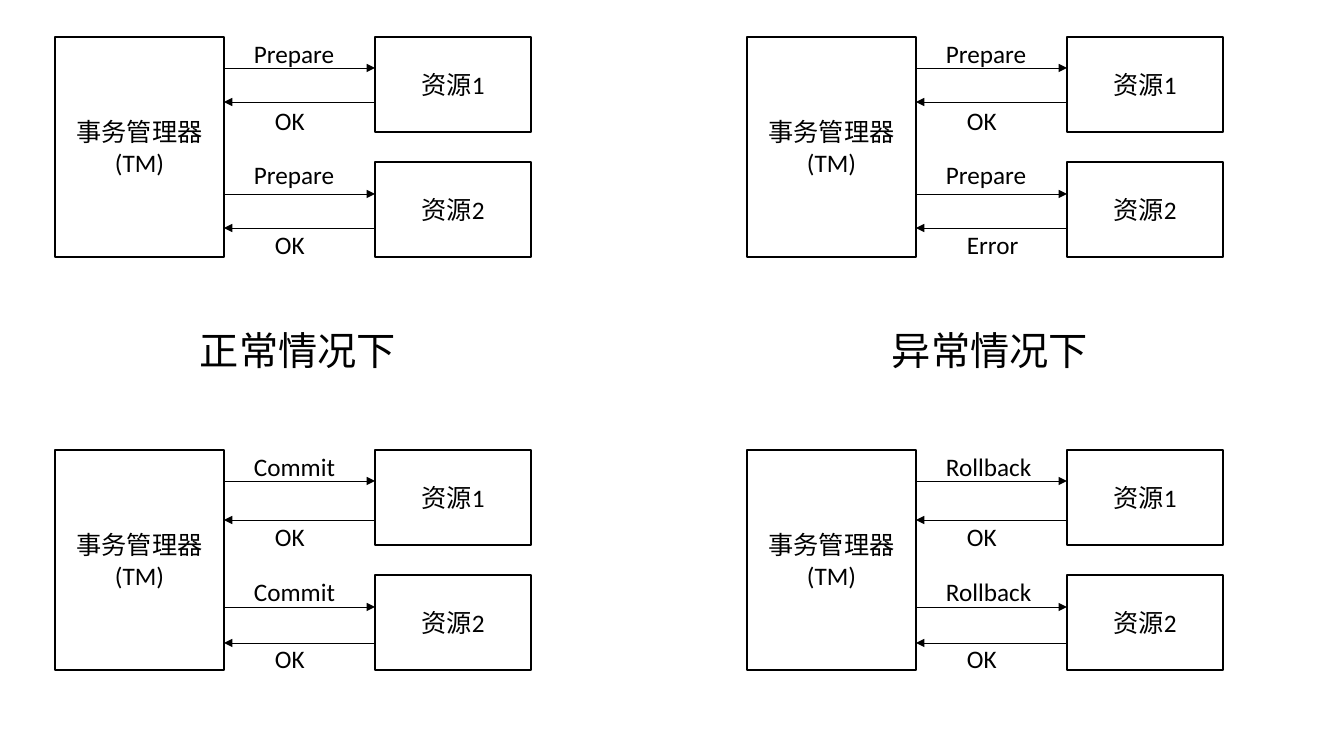
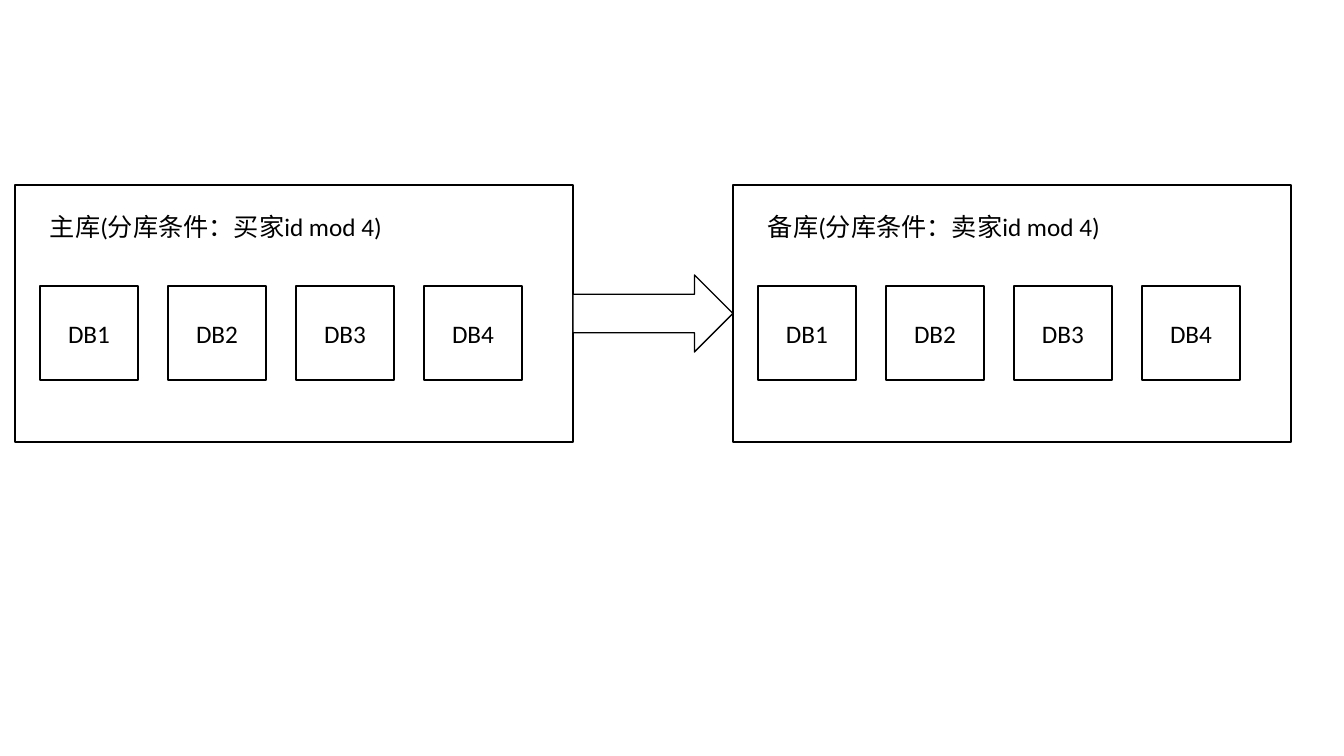
import pptx
import pptx.util
import pptx.dml.color
import pptx.enum.shapes
import pptx.enum.text
import pptx.oxml.ns
import lxml.etree

PX = 914400 / 100.8
COLORS = {"paper": "FFFFFF", "ink": "000000"}
FONT = "Calibri"
BODY, HEADING = 18, 28
SHAPES = pptx.enum.shapes.MSO_SHAPE

SCENARIO_STEP = 692
SCENARIOS = [
    ("正常情况下", [("Prepare", ["OK", "OK"]), ("Commit", ["OK", "OK"])]),
    ("异常情况下", [("Prepare", ["OK", "Error"]), ("Rollback", ["OK", "OK"])]),
]
PHASES = [
    {"top": 37, "reply": [102, 228], "call_label": [33, 154], "reply_label": [100, 224]},
    {"top": 450, "reply": [520, 643], "call_label": [446, 571], "reply_label": [516, 638]},
]
CLUSTER_STEP = 718
CLUSTERS = ["主库(分库条件：买家id mod 4)", "备库(分库条件：卖家id mod 4)"]


def emu(px):
    return pptx.util.Emu(round(px * PX))


def rgb(name):
    return pptx.dml.color.RGBColor.from_string(COLORS[name])


def write(tf, lines, size=BODY, align=pptx.enum.text.PP_ALIGN.LEFT):
    tf.word_wrap = True
    for i, line in enumerate(lines):
        p = tf.add_paragraph() if i else tf.paragraphs[0]
        p.alignment = align
        r = p.add_run()
        r.text = line
        r.font.name = FONT
        r.font.size = pptx.util.Pt(size)
        r.font.color.rgb = rgb("ink")


def add_box(s, x, y, w, h, lines=(), kind=SHAPES.RECTANGLE):
    sp = s.shapes.add_shape(kind, emu(x), emu(y), emu(w), emu(h))
    sp.shadow.inherit = False
    sp.fill.solid()
    sp.fill.fore_color.rgb = rgb("paper")
    sp.line.color.rgb = rgb("ink")
    sp.line.width = pptx.util.Pt(1)
    sp.text_frame.vertical_anchor = pptx.enum.text.MSO_ANCHOR.MIDDLE
    write(sp.text_frame, lines, align=pptx.enum.text.PP_ALIGN.CENTER)


def add_label(s, x, y, w, h, text, size=BODY):
    tf = s.shapes.add_textbox(emu(x), emu(y), emu(w), emu(h)).text_frame
    write(tf, [text], size)
    tf.auto_size = pptx.enum.text.MSO_AUTO_SIZE.SHAPE_TO_FIT_TEXT


def add_arrow(s, x1, x2, y):
    line = s.shapes.add_connector(
        pptx.enum.shapes.MSO_CONNECTOR.STRAIGHT, emu(x1), emu(y), emu(x2), emu(y))
    line.line.color.rgb = rgb("ink")
    line.line.width = pptx.util.Pt(0.5)
    qn = pptx.oxml.ns.qn
    lxml.etree.SubElement(line.line._get_or_add_ln(), qn("a:tailEnd"), type="triangle")
    lxml.etree.SubElement(line._element.spPr, qn("a:effectLst"))


def add_phase(s, x, phase, call, replies):
    top = phase["top"]
    manager_right, resource_left = x + 224, x + 375
    add_box(s, x + 55, top, 169, 220, ["事务管理器", "(TM)"])
    for i, reply in enumerate(replies):
        add_box(s, resource_left, top + 125 * i, 156, 95, [f"资源{i + 1}"])
        add_arrow(s, manager_right, resource_left, top + 31 + 126 * i)
        add_arrow(s, resource_left, manager_right, phase["reply"][i])
        add_label(s, x + 244, phase["call_label"][i], 110, 40, call)
        add_label(s, x + 265, phase["reply_label"][i], 110, 40, reply)


def add_cluster(s, x, title):
    add_box(s, x, 185, 558, 257)
    add_label(s, x + 25, 206, 384, 40, title)
    for i in range(4):
        add_box(s, x + 25 + 128 * i, 286, 98, 94, [f"DB{i + 1}"])


def build_commit_slide(s):
    for i, (title, steps) in enumerate(SCENARIOS):
        x = i * SCENARIO_STEP
        for phase, (call, replies) in zip(PHASES, steps):
            add_phase(s, x, phase, call, replies)
        add_label(s, x + 190, 321, 370, 57, title, HEADING)


def build_sharding_slide(s):
    for i, title in enumerate(CLUSTERS):
        add_cluster(s, 15 + i * CLUSTER_STEP, title)
    add_box(s, 573, 275, 160, 77, kind=SHAPES.RIGHT_ARROW)


def main():
    prs = pptx.Presentation()
    prs.slide_width, prs.slide_height = emu(1344), emu(756)
    for build in (build_commit_slide, build_sharding_slide):
        build(prs.slides.add_slide(prs.slide_layouts[6]))
    prs.save("out.pptx")


main()
